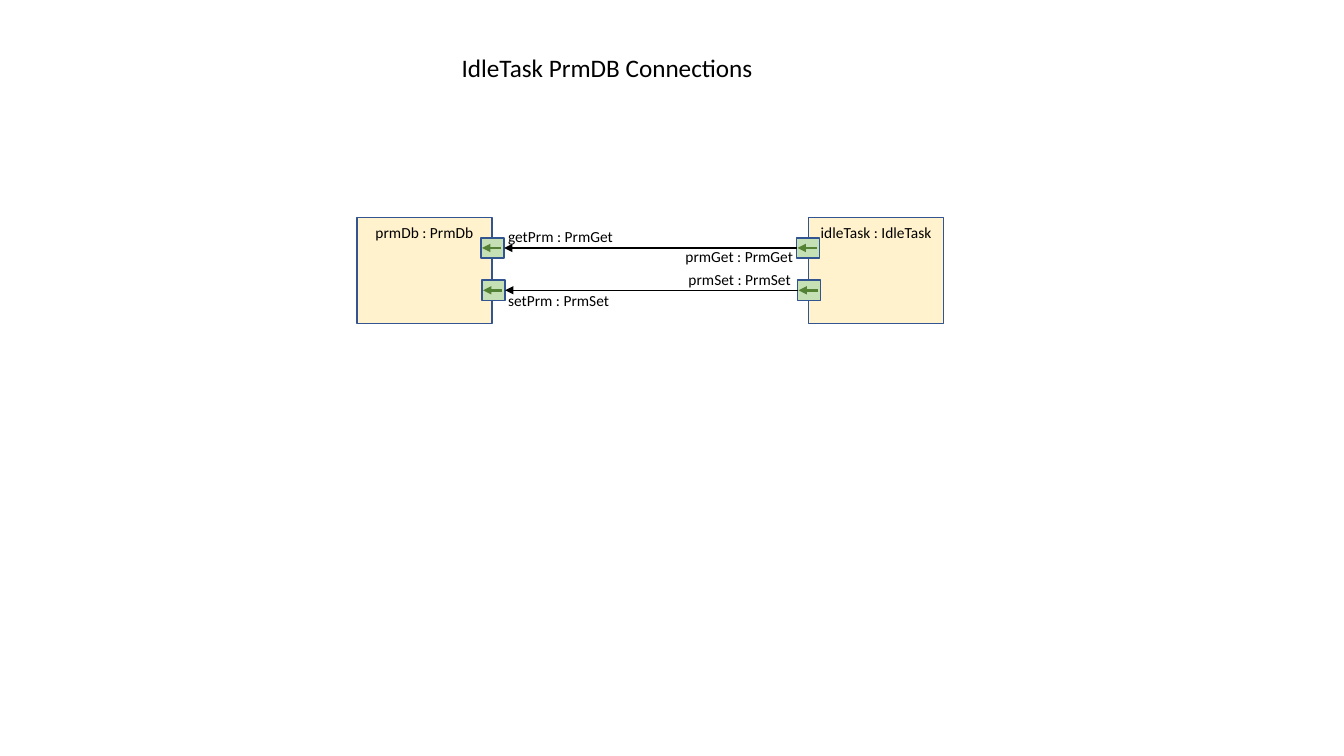
from lxml import etree
from pptx import Presentation
from pptx import util as u
from pptx.dml.color import RGBColor
from pptx.enum import shapes, text
from pptx.oxml.ns import qn

COLORS = {
    "text": "000000",
    "component": "FFF2CC",
    "port": "C5E0B4",
    "outline": "325491",
    "connection": "000000",
    "direction": "548235",
}

deck = Presentation()
deck.slide_width = u.Inches(13.33)
deck.slide_height = u.Inches(7.5)
page = deck.slides.add_slide(deck.slide_layouts[6])


def add_rectangle(left, top, width, height, fill):
    box = page.shapes.add_shape(
        shapes.MSO_SHAPE.RECTANGLE,
        u.Inches(left), u.Inches(top), u.Inches(width), u.Inches(height),
    )
    box.shadow.inherit = False
    box.fill.solid()
    box.fill.fore_color.rgb = RGBColor.from_string(COLORS[fill])
    box.line.color.rgb = RGBColor.from_string(COLORS["outline"])
    box.line.width = u.Pt(1)
    return box


def add_arrow(start, end, y, color, width):
    arrow = page.shapes.add_connector(
        shapes.MSO_CONNECTOR.STRAIGHT,
        u.Inches(start), u.Inches(y), u.Inches(end), u.Inches(y),
    )
    arrow.line.color.rgb = RGBColor.from_string(COLORS[color])
    arrow.line.width = u.Pt(width)
    properties = arrow.element.spPr
    etree.SubElement(properties.find(qn("a:ln")), qn("a:tailEnd"), type="triangle")
    etree.SubElement(properties, qn("a:effectLst"))
    return arrow


captions = []
for name, left in [("prmDb : PrmDb", 3.54), ("idleTask : IdleTask", 8.02)]:
    component = add_rectangle(left, 2.16, 1.34, 1.05, "component")
    component.text_frame.text = name
    component.text_frame.vertical_anchor = text.MSO_ANCHOR.TOP
    component.text_frame.paragraphs[0].alignment = text.PP_ALIGN.CENTER
    captions.append((component, 11))

for top, target_left, source_left in [(2.36, 4.77, 7.9), (2.78, 4.78, 7.91)]:
    middle = top + 0.1
    target, source = [
        add_rectangle(left, top, 0.23, 0.2, "port") for left in (target_left, source_left)
    ]
    for left in (target_left, source_left):
        add_arrow(left + 0.2, left + 0.01, middle, "direction", 0)
    connection = add_arrow(source_left, target_left + 0.23, middle, "connection", 1)
    connection.begin_connect(source, 1)
    connection.end_connect(target, 3)

labels = [
    ("IdleTask PrmDB Connections", 4.48, 0.47, 3.12, 0.4, 18),
    ("getPrm : PrmGet", 4.94, 2.2, 1.25, 0.29, 11),
    ("prmGet : PrmGet", 6.7, 2.4, 1.28, 0.29, 11),
    ("prmSet : PrmSet", 6.73, 2.63, 1.22, 0.29, 11),
    ("setPrm : PrmSet", 4.94, 2.84, 1.21, 0.29, 11),
]
for wording, left, top, width, height, size in labels:
    label = page.shapes.add_textbox(
        u.Inches(left), u.Inches(top), u.Inches(width), u.Inches(height)
    )
    label.text_frame.text = wording
    label.text_frame.word_wrap = False
    label.text_frame.auto_size = text.MSO_AUTO_SIZE.SHAPE_TO_FIT_TEXT
    captions.append((label, size))

for box, size in captions:
    for para in box.text_frame.paragraphs:
        for span in para.runs:
            span.font.name = "Calibri"
            span.font.size = u.Pt(size)
            span.font.color.rgb = RGBColor.from_string(COLORS["text"])

deck.save("out.pptx")
